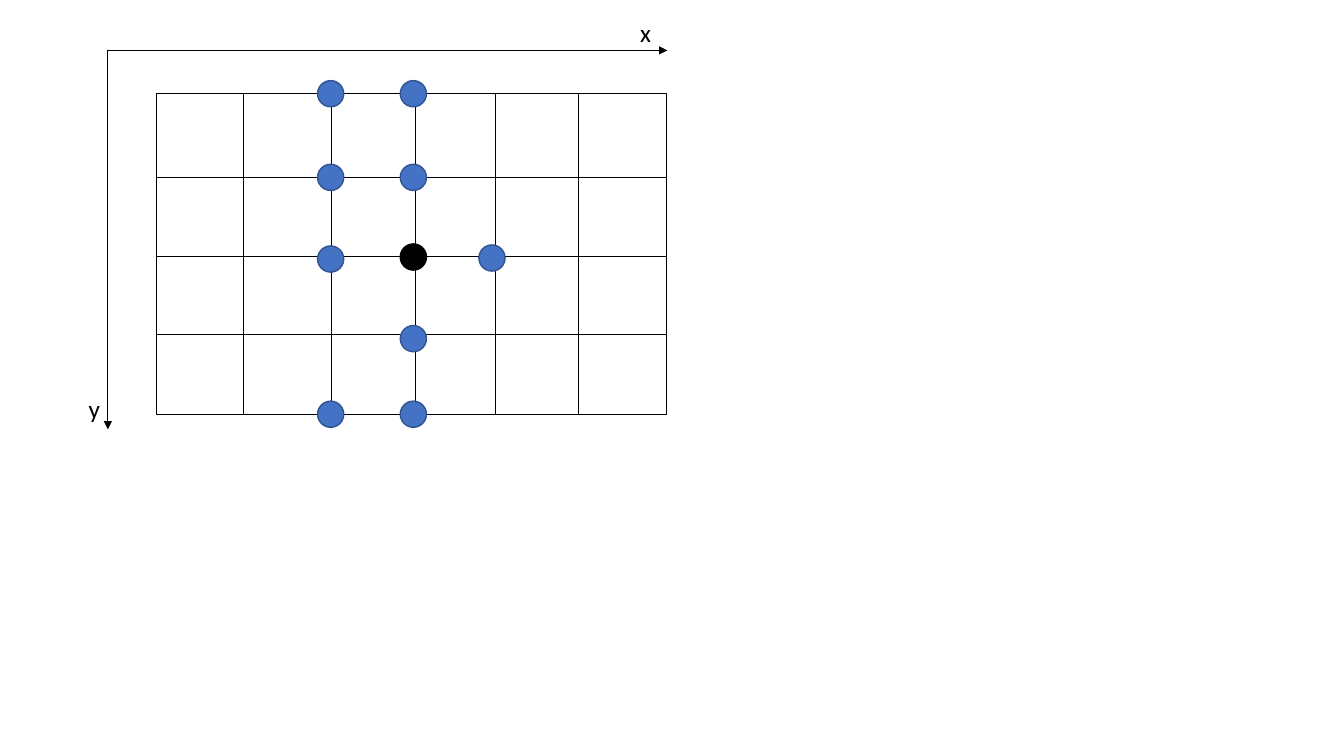
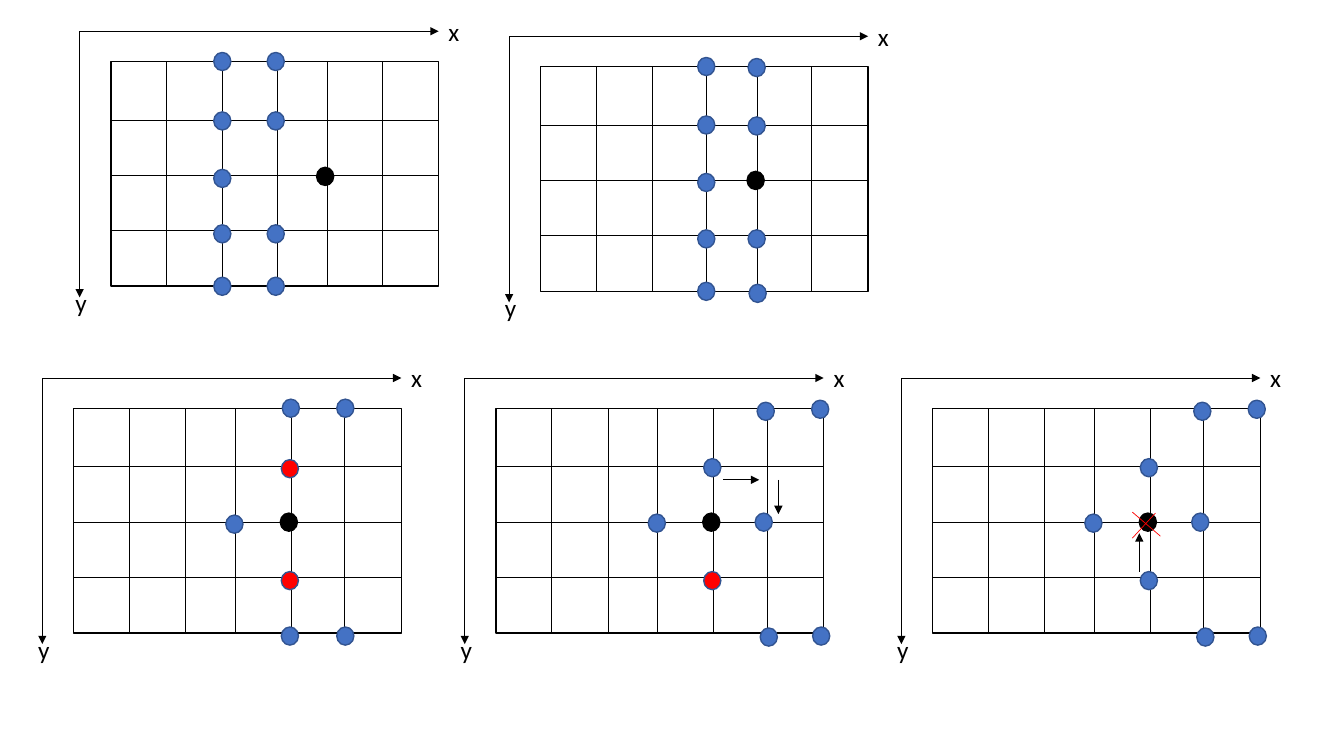
from dataclasses import dataclass

from lxml.etree import SubElement
from pptx import Presentation
from pptx.dml.color import RGBColor
from pptx.enum.shapes import MSO_CONNECTOR, MSO_SHAPE
from pptx.enum.text import MSO_AUTO_SIZE
from pptx.oxml.ns import qn
from pptx.util import Pt

PX = 9144
COLORS = {
    "paper": "FFFFFF",
    "black": "000000",
    "blue": "4472C4",
    "blue_edge": "325491",
    "red": "FF0000",
}
EDGES = {"blue": "blue_edge", "red": "blue_edge", "black": "black"}
FONT = "Calibri"


@dataclass
class GridStyle:
    size: tuple
    rows: tuple
    axis_origin: tuple
    axis_end: tuple
    dot: tuple
    x_label: tuple
    y_label: tuple


LARGE = GridStyle((506, 318), (83, 161, 239), (-48, -43), (507, 333),
                  (26, 26), (470, -81, 36, 40), (-77, 292, 36, 40))
SMALL = GridStyle((325, 223), (58, 113, 168), (-31, -30), (325, 234),
                  (17, 18), (325, -50, 36, 40), (-45, 219, 23, 28))

LARGE_COLUMNS = (86, 174, 257, 336, 419)
LEFT_COLUMNS = (55, 111, 165, 215, 269)
RIGHT_COLUMNS = (55, 111, 160, 216, 269)

LARGE_DOTS = {
    "blue": [(173, 0), (173, 83), (173, 164), (173, 318), (333, 163),
             (255, 0), (255, 83), (255, 243), (255, 318)],
    "black": [(255, 162)],
}
MOVED_DOTS = [(267, 3), (321, 1), (159, 114), (214, 59), (265, 113),
              (270, 227), (322, 226)]

SMALL_PANELS = [
    {
        "origin": (110, 61),
        "columns": LEFT_COLUMNS,
        "dots": {
            "blue": [(x, y) for x in (110, 163) for y in (0, 59, 171, 223)]
            + [(110, 116)],
            "black": [(212, 114)],
        },
    },
    {
        "origin": (536, 66),
        "columns": LEFT_COLUMNS,
        "dots": {
            "blue": [(164, 0), (164, 58), (164, 115), (164, 171), (164, 223),
                     (214, 1), (214, 59), (214, 171), (215, 225)],
            "black": [(213, 113)],
        },
    },
    {
        "origin": (73, 405),
        "columns": RIGHT_COLUMNS,
        "dots": {
            "blue": [(215, 0), (269, 0), (159, 115), (214, 226), (269, 226)],
            "red": [(214, 60), (214, 171)],
            "black": [(213, 113)],
        },
    },
    {
        "origin": (492, 405),
        "columns": RIGHT_COLUMNS,
        "dots": {"blue": MOVED_DOTS, "red": [(214, 171)], "black": [(213, 113)]},
        "moves": [((225, 71), (261, 71)), ((280, 71), (280, 105))],
    },
    {
        "origin": (925, 405),
        "columns": RIGHT_COLUMNS,
        "dots": {"blue": MOVED_DOTS + [(214, 171)], "black": [(213, 113)]},
        "moves": [((205, 162), (205, 124))],
        "cross": [((198, 129), (221, 104)), ((226, 127), (198, 103))],
    },
]


def rgb(name):
    return RGBColor.from_string(COLORS[name])


def place(origin, *box):
    left, top = origin
    x, y, width, height = box
    return [v * PX for v in (left + x, top + y, width, height)]


def add_outline(shapes, kind, box, fill, edge):
    outline = shapes.add_shape(kind, *box)
    outline.shadow.inherit = False
    outline.fill.solid()
    outline.fill.fore_color.rgb = rgb(fill)
    outline.line.color.rgb = rgb(edge)
    outline.line.width = Pt(1)


def add_line(shapes, origin, start, end, color="black", arrow=False):
    ends = [(base + offset) * PX
            for point in (start, end) for base, offset in zip(origin, point)]
    line = shapes.add_connector(MSO_CONNECTOR.STRAIGHT, *ends)
    line.line.color.rgb = rgb(color)
    line.line.width = Pt(0.5)
    if arrow:
        SubElement(line.line._get_or_add_ln(), qn("a:tailEnd"), type="triangle")
    SubElement(line._element.spPr, qn("a:effectLst"))


def add_axis_label(shapes, origin, box, letter):
    label = shapes.add_textbox(*place(origin, *box))
    frame = label.text_frame
    frame.word_wrap = True
    frame.auto_size = MSO_AUTO_SIZE.SHAPE_TO_FIT_TEXT
    frame.text = letter
    font = frame.paragraphs[0].runs[0].font
    font.name = FONT
    font.size = Pt(18)
    font.color.rgb = rgb("black")


def add_grid(shapes, origin, style, columns):
    width, height = style.size
    add_outline(shapes, MSO_SHAPE.RECTANGLE, place(origin, 0, 0, width, height),
                "paper", "black")
    for y in style.rows:
        add_line(shapes, origin, (0, y), (width, y))
    for x in columns:
        add_line(shapes, origin, (x, 0), (x, height))


def add_axes(shapes, origin, style):
    x0, y0 = style.axis_origin
    x1, y1 = style.axis_end
    for end in ((x0, y1), (x1, y0)):
        add_line(shapes, origin, (x0, y0), end, arrow=True)
    add_axis_label(shapes, origin, style.y_label, "y")
    add_axis_label(shapes, origin, style.x_label, "x")


def add_dots(shapes, origin, style, dots):
    width, height = style.dot
    for color, centres in dots.items():
        for x, y in centres:
            box = place(origin, x - width // 2, y - height // 2, width, height)
            add_outline(shapes, MSO_SHAPE.OVAL, box, color, EDGES[color])


def add_panel(shapes, style, origin, columns, dots, moves=(), cross=()):
    add_grid(shapes, origin, style, columns)
    add_axes(shapes, origin, style)
    add_dots(shapes, origin, style, dots)
    for start, end in moves:
        add_line(shapes, origin, start, end, arrow=True)
    for start, end in cross:
        add_line(shapes, origin, start, end, color="red")


def main():
    deck = Presentation()
    deck.slide_width = 1333 * PX
    deck.slide_height = 750 * PX
    blank = deck.slide_layouts[6]

    single = deck.slides.add_slide(blank)
    add_panel(single.shapes, LARGE, (155, 93), LARGE_COLUMNS, LARGE_DOTS)

    sequence = deck.slides.add_slide(blank)
    for panel in SMALL_PANELS:
        group = sequence.shapes.add_group_shape()
        add_panel(group.shapes, SMALL, **panel)

    deck.save("out.pptx")


if __name__ == "__main__":
    main()
